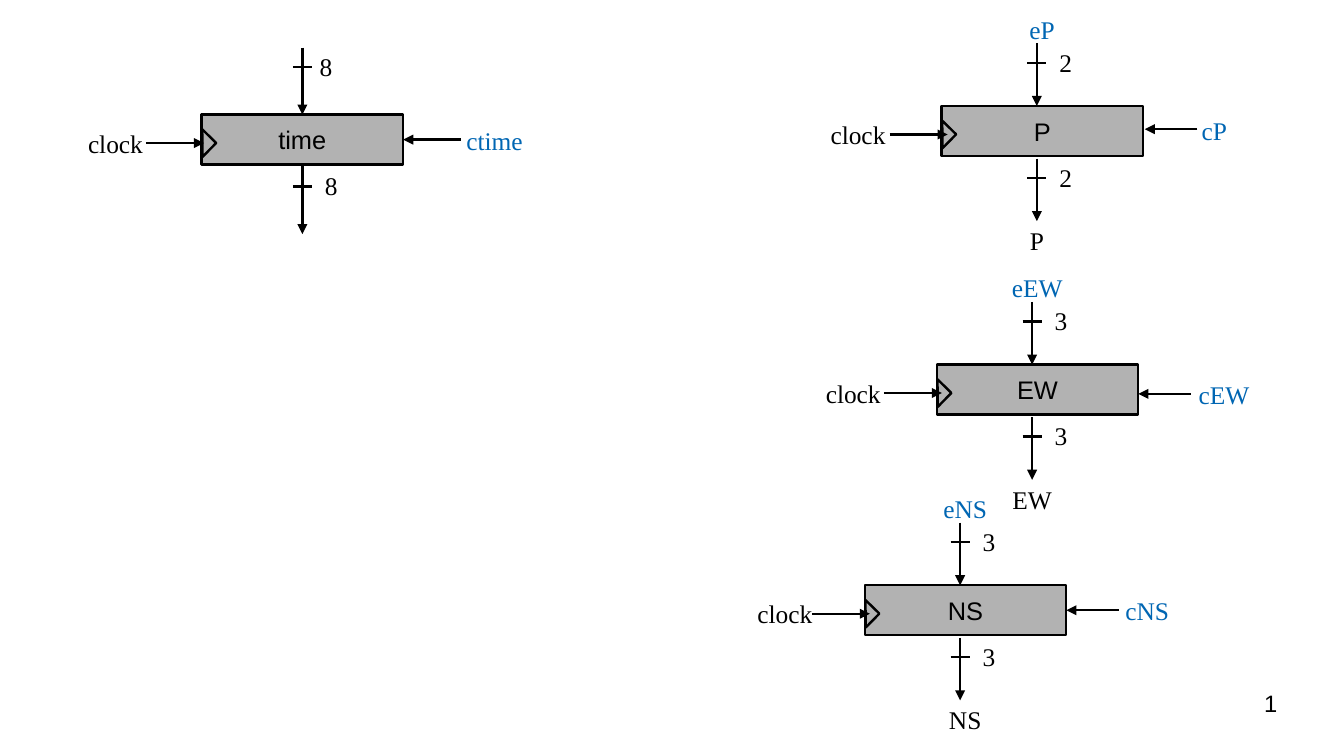
from collections import namedtuple

from lxml import etree
from pptx import Presentation
from pptx.dml.color import RGBColor
from pptx.enum.shapes import MSO_CONNECTOR, MSO_SHAPE
from pptx.enum.text import MSO_ANCHOR, PP_ALIGN
from pptx.oxml.ns import qn
from pptx.util import Pt

LINE = MSO_CONNECTOR.STRAIGHT
RECT, WEDGE = MSO_SHAPE.RECTANGLE, MSO_SHAPE.RIGHT_TRIANGLE
MID, TOP = MSO_ANCHOR.MIDDLE, MSO_ANCHOR.TOP
MIDDLE, RIGHT = PP_ALIGN.CENTER, PP_ALIGN.RIGHT

BLACK, BLUE, GRAY = "000000", "0066B3", "B2B2B2"
SANS, SERIF = "Arial", "Times New Roman"

# left and top place the box; all other lengths are measured from that corner
Reg = namedtuple("Reg", "name bits left top wire run num_x feed out out_x "
                        "ctrl_y gap ctrl_run ctrl_x ctrl_dy clk_x clk_end")
BOX_W, BOX_H = 119, 29.5
HALF_W, HALF_H = BOX_W / 2, BOX_H / 2
REGS = [
    Reg("time", "8", 119, 67.7, HALF_W, 39.6, 0, "", "", 0,
        HALF_H, 0, 34, 173, 0.4, -50.8, 1.4),
    Reg("P", "2", 555.8, 62.6, 56.3, 37, 3, "eP", "P", 0,
        13.7, 1, 31, 161, 0.7, -49.3, 3.6),
    Reg("EW", "3", 553, 215.3, 56.3, 37, 3, "eEW", "EW", 0,
        17.3, 0, 31, 169.6, 0, -49.3, 3),
    Reg("NS", "3", 510.5, 345.6, 56.3, 37, 3, "eNS", "NS", 3,
        HALF_H, 0, 31, 166.7, 0, -47.2, 3),
]
OUT_Y = 31      # start of the output wire
CLK_Y = 16.8    # height of the clock wire
CLK_RUN = 34.2
TICK_Y = 11.5   # bus tick below the start of its wire
TICK = 5.65
NUM_W, NUM_H = 28, 22
WEDGE_W = 11.5
STUB = 24.5

deck = Presentation()
deck.slide_width, deck.slide_height = Pt(793.4), Pt(446.4)
slide = deck.slides.add_slide(deck.slide_layouts[6])
shapes = slide.shapes


def rgb(code):
    return RGBColor.from_string(code)


def write(frame, text, font, size=15, color=BLACK, align=MIDDLE, anchor=MID):
    frame.text = text
    frame.vertical_anchor = anchor
    para = frame.paragraphs[0]
    para.alignment = align
    para.font.name, para.font.size = font, Pt(size)
    para.font.color.rgb = rgb(color)


def label(text, x, y, w, h, color=BLACK, **style):
    """Put text in a box without insets, centred on x, y."""
    frame = shapes.add_textbox(Pt(x - w / 2), Pt(y - h / 2), Pt(w), Pt(h)).text_frame
    frame.margin_left = frame.margin_right = 0
    frame.margin_top = frame.margin_bottom = 0
    frame.word_wrap = True
    write(frame, text, style.pop("font", SERIF), color=color, **style)


def block(kind, x, y, w, h):
    shape = shapes.add_shape(kind, Pt(x), Pt(y), Pt(w), Pt(h))
    shape.shadow.inherit = False
    shape.fill.solid()
    shape.fill.fore_color.rgb = rgb(GRAY)
    shape.line.color.rgb = rgb(BLACK)
    shape.line.width = Pt(1.42)
    return shape


def wire(x1, y1, x2, y2, head=True):
    line = shapes.add_connector(LINE, Pt(x1), Pt(y1), Pt(x2), Pt(y2))
    line.line.color.rgb = rgb(BLACK)
    line.line.width = Pt(1.42)
    if head:
        etree.SubElement(line.line._get_or_add_ln(), qn("a:tailEnd"), type="triangle")
    etree.SubElement(line._element.spPr, qn("a:effectLst"))
    return line


def bus(x, y, run, bits, num_x):
    """Draw a downward wire with its tick and its bit count."""
    line = wire(x, y, x, y + run)
    wire(x - TICK, y + TICK_Y, x + TICK, y + TICK_Y, head=False)
    label(bits, x + num_x + NUM_W / 2, y + NUM_H / 2, NUM_W, NUM_H)
    return line


def register(reg):
    left, top = reg.left, reg.top
    x = left + reg.wire
    box = block(RECT, left, top, BOX_W, BOX_H)
    box.text_frame.word_wrap = False
    write(box.text_frame, reg.name, SANS)

    feed = bus(x, top - reg.run, reg.run, reg.bits, reg.num_x)
    if reg.wire == HALF_W:
        feed.end_connect(box, 0)
        stub = wire(x, top + BOX_H, x, top + BOX_H + STUB, head=False)
        stub.begin_connect(box, 2)
    bus(x, top + OUT_Y, reg.run, reg.bits, 3)
    if reg.feed:
        label(reg.feed, x + 3, top - 45.4, 34, NUM_H, BLUE)
    if reg.out:
        label(reg.out, x + reg.out_x, top + 79.3, NUM_W, NUM_H)

    y = top + reg.ctrl_y
    end = left + BOX_W + reg.gap
    ctrl = wire(end + reg.ctrl_run, y, end, y)
    if reg.ctrl_y == HALF_H:
        ctrl.end_connect(box, 3)
    name = "c" + reg.name
    label(name, left + reg.ctrl_x, y + reg.ctrl_dy, max(34, 9 * len(name)), 17, BLUE)

    y = top + CLK_Y
    wedge = block(WEDGE, left + 0.5 - WEDGE_W / 2, y - WEDGE_W / 2, WEDGE_W, WEDGE_W)
    wedge.rotation = 224.5
    end = left + reg.clk_end
    wire(end - CLK_RUN, y, end, y)
    label("clock", left + reg.clk_x, y, 42.5, 16.5)


for reg in REGS:
    register(reg)
label("1", 661.5, 422.5, 185, 31, font=SANS, size=14, align=RIGHT, anchor=TOP)

deck.save("out.pptx")
